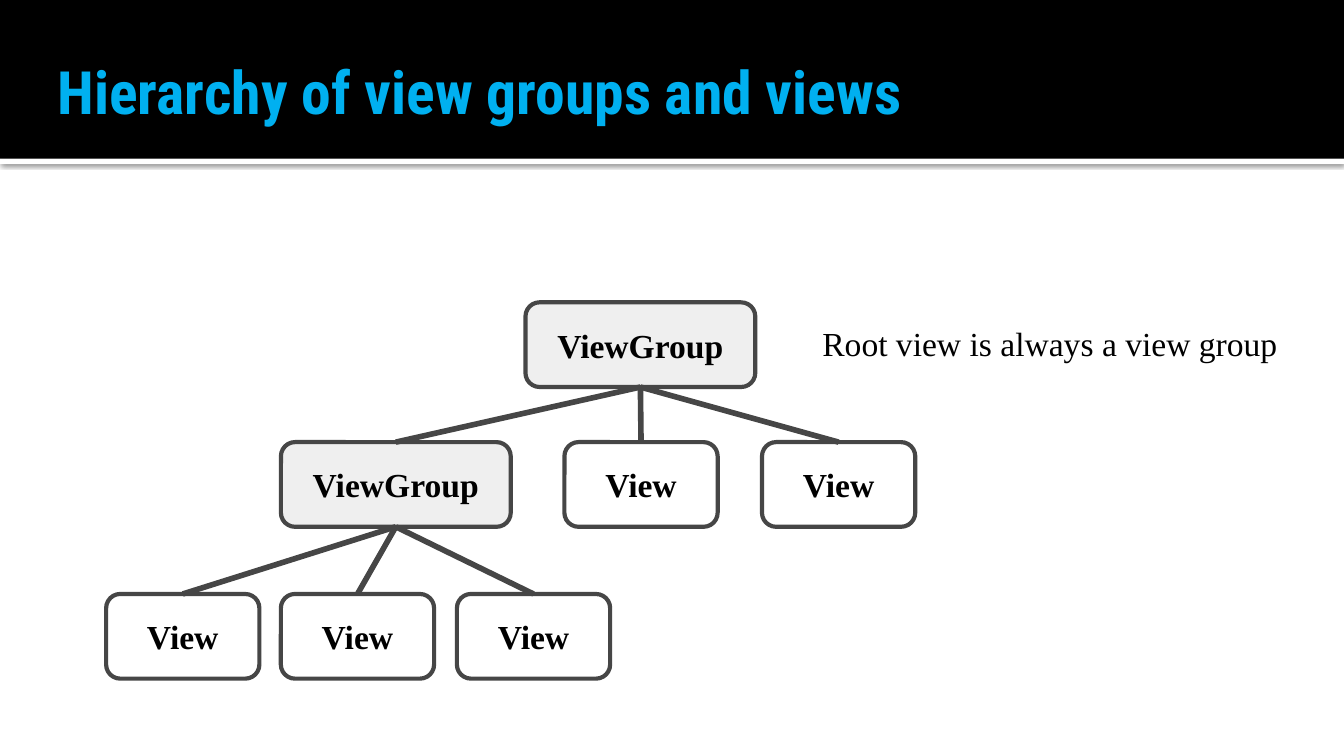
from pptx import Presentation
from pptx.util import Inches, Pt
from pptx.dml.color import RGBColor
from pptx.enum.shapes import MSO_SHAPE, MSO_CONNECTOR
from pptx.enum.text import PP_ALIGN, MSO_ANCHOR
from pptx.oxml import parse_xml
from pptx.oxml.ns import nsdecls


def color(code):
    return RGBColor.from_string(code)


def write(shape, text, size, face, code, bold):
    frame = shape.text_frame
    frame.word_wrap = True
    frame.margin_left = frame.margin_right = Inches(0.1)
    frame.margin_top = frame.margin_bottom = Inches(0.1)
    frame.text = text
    font = frame.paragraphs[0].runs[0].font
    font.size = Pt(size)
    font.name = face
    font.bold = bold
    font.color.rgb = color(code)


deck = Presentation()
deck.slide_width = Inches(10)
deck.slide_height = Inches(10) * 9 // 16
slide = deck.slides.add_slide(deck.slide_layouts[6])
shapes = slide.shapes

glow = ('<a:outerShdw blurRad="31750" dist="10160" dir="5400000" algn="t" rotWithShape="0">'
        '<a:srgbClr val="000000"><a:alpha val="60000"/></a:srgbClr></a:outerShdw>')
for top, high, fill, effect in [(1.18, 0.04, "FFFFFF", glow), (0, 1.18, "000000", "")]:
    band = shapes.add_shape(MSO_SHAPE.RECTANGLE, 0, Inches(top), Inches(10), Inches(high))
    band.fill.solid()
    band.fill.fore_color.rgb = color(fill)
    band.line.fill.background()
    band._element.spPr.append(parse_xml(f'<a:effectLst {nsdecls("a")}>{effect}</a:effectLst>'))

title = shapes.add_textbox(Inches(0.33), Inches(0.31), Inches(9.32), Inches(0.63))
write(title, "Hierarchy of view groups and views", 32, "Roboto Condensed", "00B0F0", True)

wide = {"ViewGroup": 1.71, "View": 1.14}
fills = {"ViewGroup": "EFEFEF", "View": "FFFFFF"}
nodes = [
    ("root", "ViewGroup", 3.91, 2.25, None),
    ("group", "ViewGroup", 2.09, 3.29, "root"),
    ("mid", "View", 4.2, 3.29, "root"),
    ("right", "View", 5.67, 3.29, "root"),
    ("leaf 1", "View", 0.79, 4.42, "group"),
    ("leaf 2", "View", 2.09, 4.42, "group"),
    ("leaf 3", "View", 3.4, 4.42, "group"),
]
boxes = {}
for name, label, left, top, parent in nodes:
    box = shapes.add_shape(MSO_SHAPE.ROUNDED_RECTANGLE, Inches(left), Inches(top),
                           Inches(wide[label]), Inches(0.63))
    box.fill.solid()
    box.fill.fore_color.rgb = color(fills[label])
    box.line.color.rgb = color("464646")
    box.line.width = Pt(2.25)
    box.shadow.inherit = False
    write(box, label, 18, "Times New Roman", "000000", True)
    box.text_frame.vertical_anchor = MSO_ANCHOR.MIDDLE
    box.text_frame.paragraphs[0].alignment = PP_ALIGN.CENTER
    boxes[name] = box

for name, label, left, top, parent in nodes:
    if parent:
        link = shapes.add_connector(MSO_CONNECTOR.STRAIGHT, 0, 0, 0, 0)
        link.begin_connect(boxes[parent], 2)
        link.end_connect(boxes[name], 0)
        link.line.color.rgb = color("464646")
        link.line.width = Pt(3)
        link._element.spPr.append(parse_xml(f'<a:effectLst {nsdecls("a")}/>'))

note = shapes.add_textbox(Inches(6.02), Inches(2.3), Inches(3.98), Inches(0.43))
write(note, "Root view is always a view group", 18, "Times New Roman", "000000", False)

deck.save("out.pptx")
